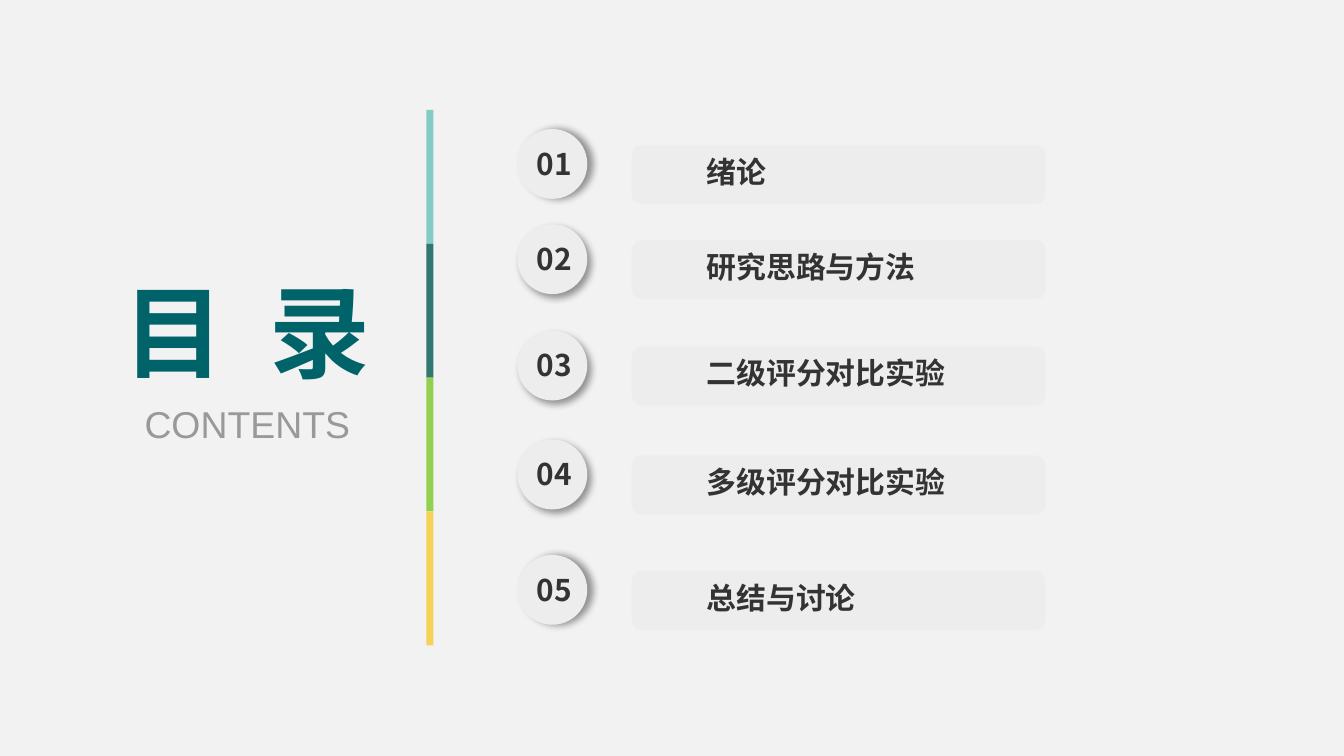
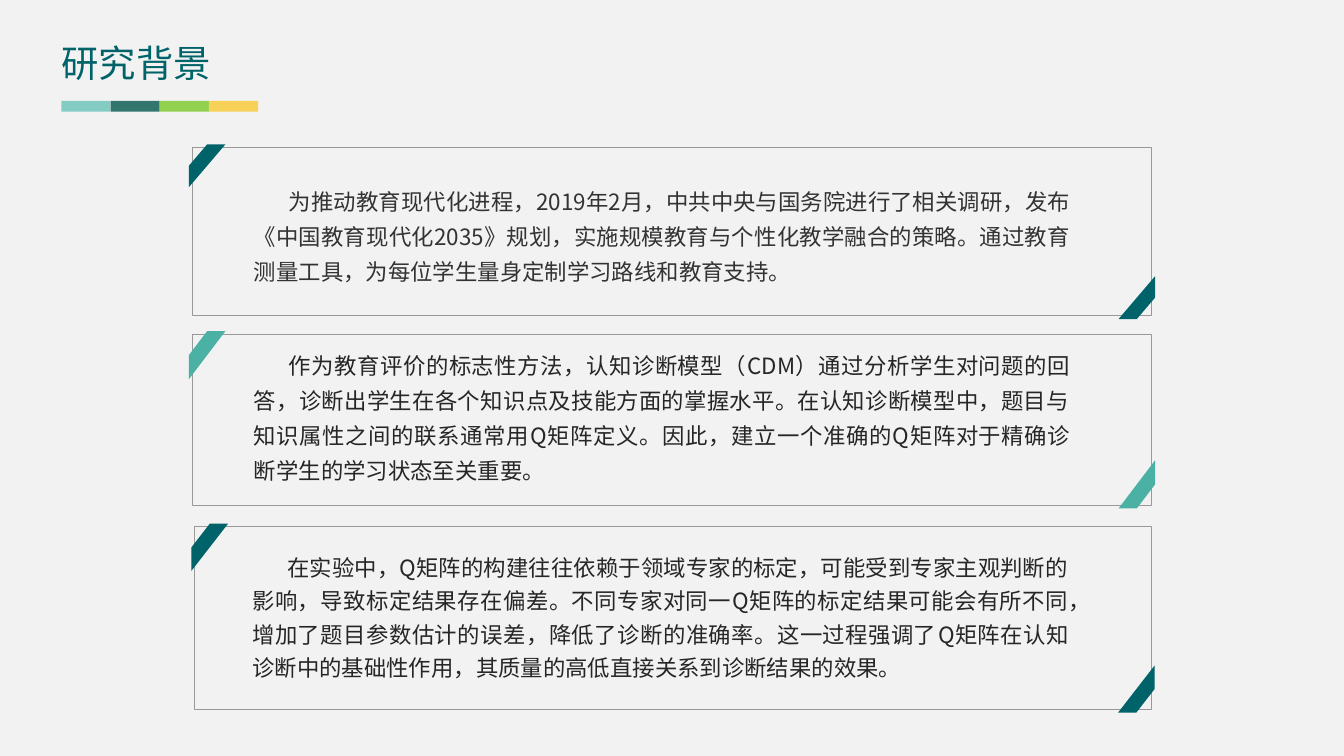
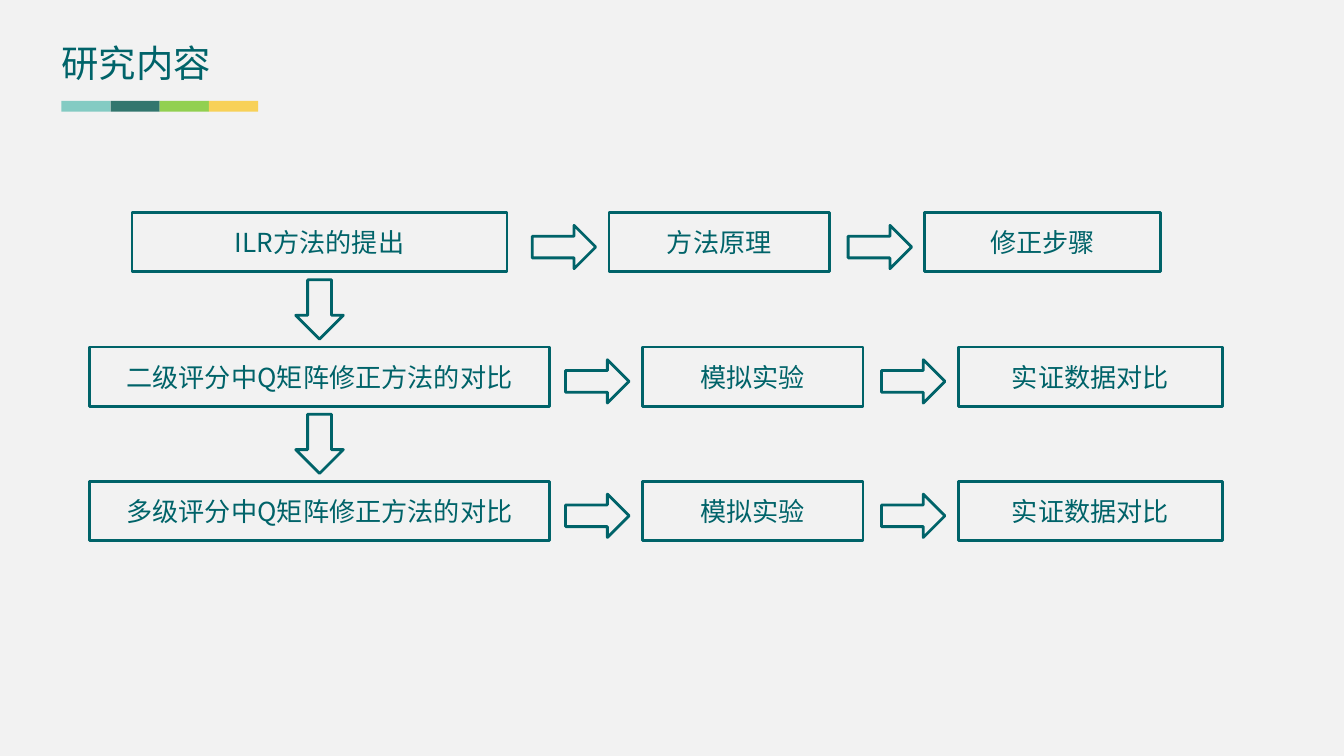
from lxml.etree import SubElement
from pptx import Presentation
from pptx.dml.color import RGBColor
from pptx.enum.shapes import MSO_SHAPE
from pptx.enum.text import MSO_ANCHOR, MSO_AUTO_SIZE, PP_ALIGN
from pptx.oxml.ns import qn
from pptx.util import Cm, Pt

COLORS = {
    "background": "F2F2F2",
    "teal": "006369",
    "jade": "4BB1A5",
    "mint": "84CBC3",
    "pine": "32766E",
    "green": "92D050",
    "yellow": "F8D158",
    "button": "EDEDED",
    "gray": "999999",
    "ink": "333333",
    "dark": "262626",
    "shadow": "000000",
}
BAND = ("mint", "pine", "green", "yellow")
BODY_FONT = "Noto Sans CJK SC"

CHAPTERS = (
    ("绪论", 2.44, 1.93, 0),
    ("研究思路与方法", 4.24, 5.51, 45),
    ("二级评分对比实验", 6.25, 5.51, 45),
    ("多级评分对比实验", 8.31, 5.51, 45),
    ("总结与讨论", 10.49, 4.11, 0),
)

BACKGROUND_PANELS = (
    dict(
        box=(3.63, 2.79, 18.14, 3.18), stripe_height=0.81, accent="teal",
        offset=(0.92, 0.49), text_height=2.18, color="ink", spacing=1.3,
        text="为推动教育现代化进程，2019年2月，中共中央与国务院进行了相关调研，"
             "发布《中国教育现代化2035》规划，实施规模教育与个性化教学融合的策略。"
             "通过教育测量工具，为每位学生量身定制学习路线和教育支持。",
    ),
    dict(
        box=(3.63, 6.32, 18.14, 3.23), stripe_height=0.91, accent="jade",
        offset=(0.92, 0.06), text_height=3.1, color="dark", spacing=1.3,
        text="作为教育评价的标志性方法，认知诊断模型（CDM）通过分析学生对问题的回答，"
             "诊断出学生在各个知识点及技能方面的掌握水平。在认知诊断模型中，"
             "题目与知识属性之间的联系通常用Q矩阵定义。因此，"
             "建立一个准确的Q矩阵对于精确诊断学生的学习状态至关重要。",
    ),
    dict(
        box=(3.68, 9.96, 18.08, 3.45), stripe_height=0.89, accent="teal",
        offset=(0.84, 0.25), text_height=2.77, color="dark", spacing=1.25,
        text="在实验中，Q矩阵的构建往往依赖于领域专家的标定，可能受到专家主观判断的影响，"
             "导致标定结果存在偏差。不同专家对同一Q矩阵的标定结果可能会有所不同，"
             "增加了题目参数估计的误差，降低了诊断的准确率。"
             "这一过程强调了Q矩阵在认知诊断中的基础性作用，"
             "其质量的高低直接关系到诊断结果的效果。",
    ),
)

RESEARCH_ROWS = (
    ("ILR方法的提出", 7.09, 11.51, (("方法原理", 4.17), ("修正步骤", 4.45))),
    ("二级评分中Q矩阵修正方法的对比", 8.69, 12.14, (("模拟实验", 4.17), ("实证数据对比", 5))),
    ("多级评分中Q矩阵修正方法的对比", 8.69, 12.14, (("模拟实验", 4.17), ("实证数据对比", 5))),
)


def rgb(color):
    return RGBColor.from_string(COLORS[color])


def write(shape, text, size=16, font=BODY_FONT, color="ink", bold=False,
          align=PP_ALIGN.LEFT, anchor=MSO_ANCHOR.TOP, spacing=None,
          indent=0, tracking=0, inset=(0.25, 0.13), grow=True):
    frame = shape.text_frame
    frame.word_wrap = True
    frame.auto_size = MSO_AUTO_SIZE.SHAPE_TO_FIT_TEXT if grow else MSO_AUTO_SIZE.NONE
    frame.vertical_anchor = anchor
    frame.margin_left = frame.margin_right = Cm(inset[0])
    frame.margin_top = frame.margin_bottom = Cm(inset[1])
    paragraph = frame.add_paragraph() if frame.text else frame.paragraphs[0]
    paragraph.alignment = align
    if spacing:
        paragraph.line_spacing = spacing
    if indent:
        paragraph._p.get_or_add_pPr().set("indent", str(Cm(indent)))
    run = paragraph.add_run()
    run.text = text
    run.font.name = font
    run.font.size = Pt(size)
    run.font.bold = bold
    run.font.color.rgb = rgb(color)
    properties = run._r.get_or_add_rPr()
    SubElement(properties, qn("a:ea")).set("typeface", BODY_FONT)
    if tracking:
        properties.set("spc", str(tracking * 100))


def add_block(shapes, preset, left, top, width, height, fill=None, line=None, weight=1.5):
    block = shapes.add_shape(preset, Cm(left), Cm(top), Cm(width), Cm(height))
    block.shadow.inherit = False
    if fill:
        block.fill.solid()
        block.fill.fore_color.rgb = rgb(fill)
    else:
        block.fill.background()
    if line:
        block.line.color.rgb = rgb(line)
        block.line.width = Pt(weight)
    else:
        block.line.fill.background()
    return block


def add_text(shapes, text, left, top, width, height, **style):
    box = shapes.add_textbox(Cm(left), Cm(top), Cm(width), Cm(height))
    write(box, text, **style)


def cast_shadow(shape, direction):
    shadow = SubElement(shape._element.spPr.find(qn("a:effectLst")), qn("a:outerShdw"),
                        blurRad=str(Pt(4)), dist=str(Pt(3)),
                        dir=str(direction * 60000), algn="l", rotWithShape="0")
    tint = SubElement(shadow, qn("a:srgbClr"), val=COLORS["shadow"])
    SubElement(tint, qn("a:alpha"), val="40000")


def color_band(slide, left, top, width, height, step_x=0, step_y=0):
    band = slide.shapes.add_group_shape().shapes
    for index, color in enumerate(BAND):
        add_block(band, MSO_SHAPE.RECTANGLE, left + index * step_x, top + index * step_y,
                  width, height, fill=color)


def place_title(slide, left, top, width, height):
    title = slide.shapes.title
    title.left, title.top, title.width, title.height = map(Cm, (left, top, width, height))
    return title


def new_slide(prs):
    return prs.slides.add_slide(prs.slide_layouts[5])


def content_slide(prs, heading):
    slide = new_slide(prs)
    write(place_title(slide, 1.16, 0.76, 7.72, 0.86), heading,
          size=20, color="teal", inset=(0, 0))
    color_band(slide, 1.16, 1.91, 0.93, 0.2, step_x=0.93)
    return slide


def chapter_entry(slide, number, chapter, left, top, label_width, shadow_direction):
    shapes = slide.shapes
    button = add_block(shapes, MSO_SHAPE.OVAL, left, top, 1.32, 1.32, fill="button")
    cast_shadow(button, shadow_direction)
    add_block(shapes, MSO_SHAPE.ROUNDED_RECTANGLE, left + 2.16, top + 0.3, 7.82, 1.12,
              fill="button")
    label = add_block(shapes, MSO_SHAPE.RECTANGLE, left + 3.33, top + 0.33,
                      label_width, 0.94, fill="button")
    write(label, chapter, bold=True)
    add_text(shapes, f"{number:02}", left + 0.11, top + 0.18, 1.32, 0.94, bold=True)


def contents_slide(prs):
    slide = new_slide(prs)
    color_band(slide, 8.06, 2.08, 0.13, 2.53, step_y=2.53)
    title = place_title(slide, 2.06, 4.39, 5.23, 4.11)
    centred = dict(align=PP_ALIGN.CENTER, spacing=1.25)
    write(title, "目 录", size=54, font="Arial Narrow", color="teal", bold=True,
          tracking=6, **centred)
    write(title, "CONTENTS", size=20, font="Arial", color="gray", **centred)
    for number, (chapter, top, label_width, direction) in enumerate(CHAPTERS, 1):
        chapter_entry(slide, number, chapter, 9.78, top, label_width, direction)


def background_panel(slide, box, stripe_height, accent, offset, text_height,
                     color, spacing, text):
    left, top, width, height = box
    stripe_width, overhang = 0.69, 0.06
    panel = slide.shapes.add_group_shape().shapes
    add_block(panel, MSO_SHAPE.RECTANGLE, *box, line="gray", weight=0.5)
    add_block(panel, MSO_SHAPE.DIAGONAL_STRIPE, left - overhang, top - overhang,
              stripe_width, stripe_height, fill=accent)
    lower_stripe = add_block(panel, MSO_SHAPE.DIAGONAL_STRIPE,
                             left + width + overhang - stripe_width,
                             top + height + overhang - stripe_height,
                             stripe_width, stripe_height, fill=accent)
    lower_stripe.rotation = 180
    add_text(panel, text, left + offset[0], top + offset[1], 15.93, text_height,
             size=12, color=color, align=PP_ALIGN.JUSTIFY, spacing=spacing, indent=0.66)


def background_slide(prs):
    slide = content_slide(prs, "研究背景")
    for panel in BACKGROUND_PANELS:
        background_panel(slide, **panel)


def step_box(shapes, text, left, top, width):
    step = add_block(shapes, MSO_SHAPE.RECTANGLE, left, top, width, 1.12, line="teal")
    write(step, text, size=14, color="teal", align=PP_ALIGN.CENTER,
          anchor=MSO_ANCHOR.MIDDLE, grow=False)


def research_row(slide, center, top, topic, topic_width, details_left, details):
    shapes = slide.shapes
    step_box(shapes, topic, center - topic_width / 2, top, topic_width)
    for index, (detail, width) in enumerate(details):
        left = details_left + index * 5.97
        add_block(shapes, MSO_SHAPE.RIGHT_ARROW, left - 1.45, top + 0.24, 1.2, 0.82,
                  line="teal")
        step_box(shapes, detail, left, top, width)


def research_slide(prs):
    slide = content_slide(prs, "研究内容")
    center, first_top, pitch = 6.04, 4.02, 2.54
    for index, row in enumerate(RESEARCH_ROWS):
        top = first_top + index * pitch
        research_row(slide, center, top, *row)
        if index:
            add_block(slide.shapes, MSO_SHAPE.DOWN_ARROW, center - 0.45, top - 1.27,
                      0.9, 1.12, line="teal")


def main():
    prs = Presentation()
    prs.slide_width, prs.slide_height = Cm(25.4), Cm(14.29)
    backdrop = prs.slide_master.background.fill
    backdrop.solid()
    backdrop.fore_color.rgb = rgb("background")
    contents_slide(prs)
    background_slide(prs)
    research_slide(prs)
    prs.save("out.pptx")


if __name__ == "__main__":
    main()
